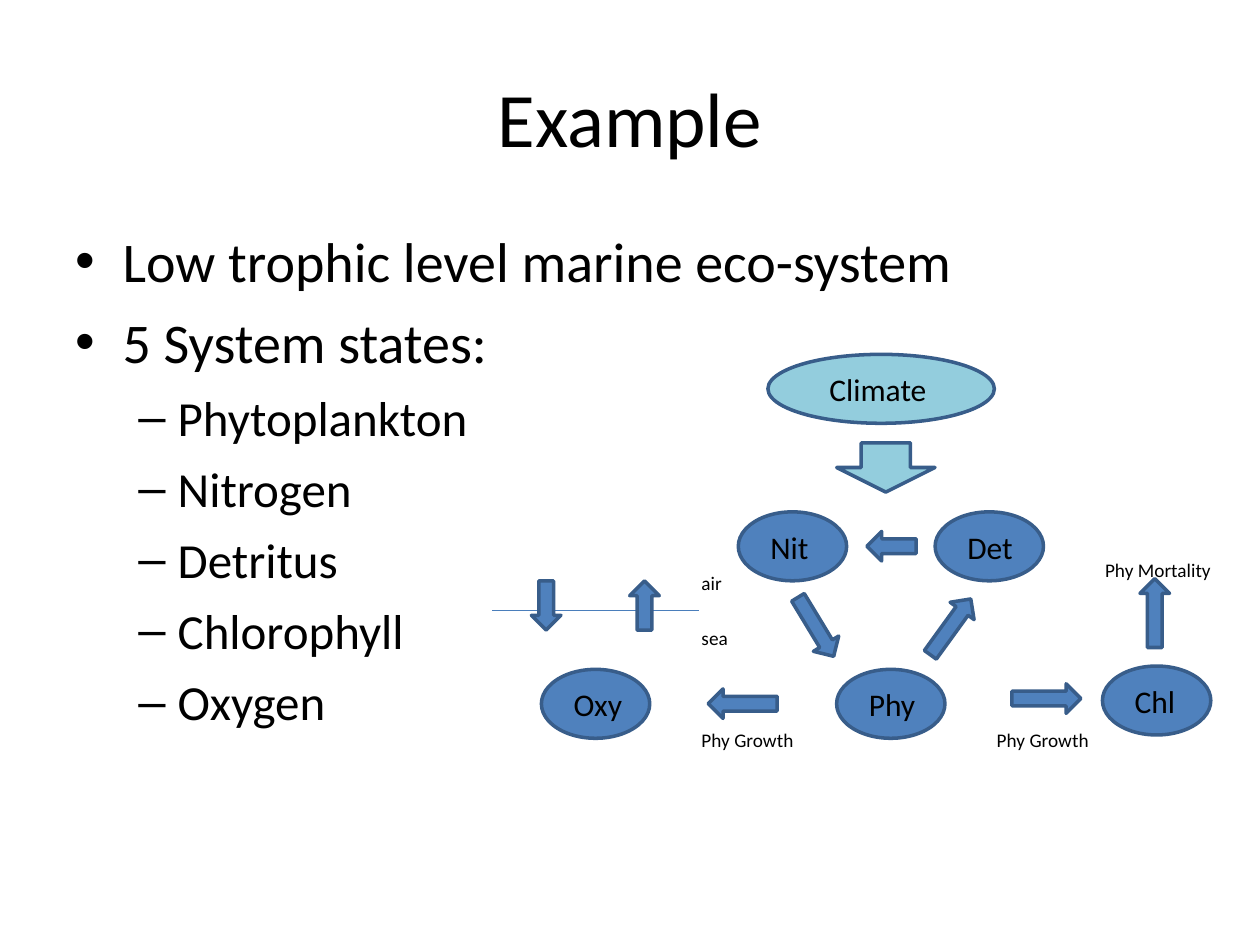
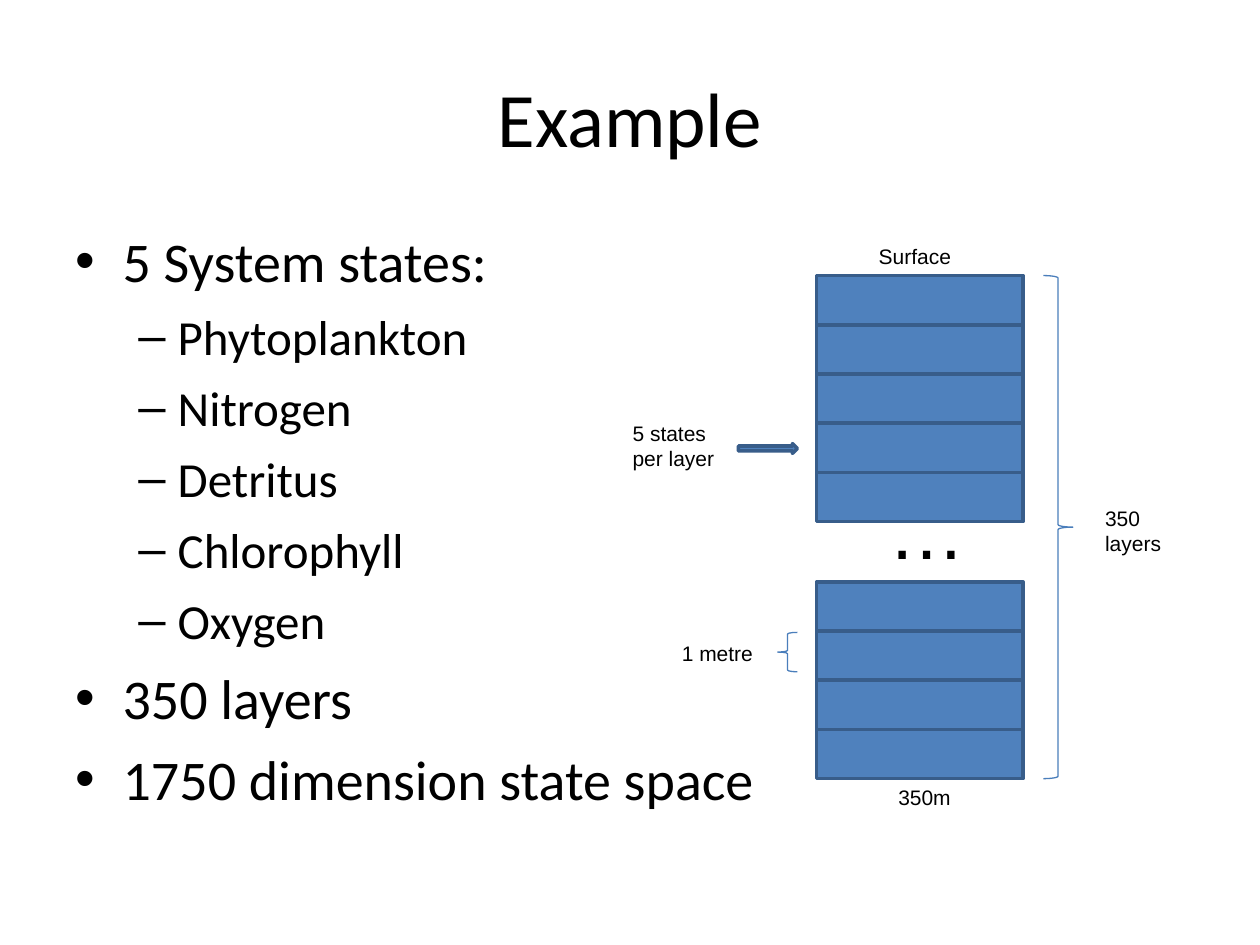
from lxml.etree import SubElement as Sub
from pptx import Presentation
from pptx.dml.color import RGBColor
from pptx.enum.shapes import MSO_CONNECTOR as Conn, MSO_SHAPE as Form
from pptx.enum.text import MSO_ANCHOR as Anchor, PP_ALIGN as Align
from pptx.oxml.ns import qn
from pptx.util import Pt

BLACK, BLUE, EDGE, THIN, SKY = "000000", "4F81BD", "385D8A", "4A7EBB", "93CDDD"
STATES = ["Phytoplankton", "Nitrogen", "Detritus", "Chlorophyll", "Oxygen"]
# Bullet levels: mark, left margin, hanging indent, space before, size
LEVELS = [("•", 27, 27, 8, 32), ("–", 58.5, 22.5, 7, 28)]


def color(code):
    return RGBColor.from_string(code)


class Deck:
    def __init__(self):
        self.prs = Presentation()
        self.prs.slide_width, self.prs.slide_height = Pt(720), Pt(540)
        self.shapes = None

    def page(self, title, items):
        """Start a slide with its title and bullet list of (level, text)."""
        self.shapes = self.prs.slides.add_slide(self.prs.slide_layouts[6]).shapes
        head = self.text(title, 36, 21.6, 648, 90, 44)
        head.vertical_anchor = Anchor.MIDDLE
        head.paragraphs[0].alignment = Align.CENTER
        self.bullets(items)

    def frame(self, x, y, w, h):
        frame = self.shapes.add_textbox(Pt(x), Pt(y), Pt(w), Pt(h)).text_frame
        frame.word_wrap = True
        return frame

    def style(self, para, size, face):
        para.font.size, para.font.name = Pt(size), face
        para.font.color.rgb = color(BLACK)

    def text(self, words, x, y, w, h, size, face="Calibri"):
        frame = self.frame(x, y, w, h)
        frame.text = words
        self.style(frame.paragraphs[0], size, face)
        return frame

    def bullets(self, items):
        frame = self.frame(36, 126, 648, 356.4)
        for i, (level, words) in enumerate(items):
            para = frame.add_paragraph() if i else frame.paragraphs[0]
            mark, left, hang, gap, size = LEVELS[level]
            para.text, para.level = words, level
            para.space_before = Pt(gap if i else 0)
            props = para._p.get_or_add_pPr()
            props.set("marL", str(Pt(left)))
            props.set("indent", str(-Pt(hang)))
            Sub(props, qn("a:buFont"), typeface="Arial")
            Sub(props, qn("a:buChar"), char=mark)
            self.style(para, size, "Calibri")

    def shape(self, form, x, y, w, h, fill=BLUE):
        shape = self.shapes.add_shape(form, Pt(x), Pt(y), Pt(w), Pt(h))
        shape.shadow.inherit = False
        shape.fill.solid()
        shape.fill.fore_color.rgb = color(fill)
        shape.line.color.rgb = color(EDGE)
        shape.line.width = Pt(2)
        return shape

    def node(self, name, x, y, w=61.9, fill=BLUE, pad=11.3):
        self.shape(Form.OVAL, x, y, w, 39.4, fill)
        self.text(name, x + pad, y + 5.6, w - 1.5 * pad, 28.8, 18)

    def arrow(self, x, y, span, turn=0, thick=16.9):
        """Block arrow centred on x, y."""
        shape = self.shape(Form.RIGHT_ARROW, x - span / 2, y - thick / 2, span, thick)
        shape.rotation = turn

    def brace(self, form, x, y, w, h):
        shape = self.shape(form, x, y, w, h)
        shape.fill.background()
        shape.line.color.rgb = color(THIN)
        shape.line.width = Pt(0.75)

    def line(self, x1, y1, x2, y2):
        line = self.shapes.add_connector(Conn.STRAIGHT, Pt(x1), Pt(y1), Pt(x2), Pt(y2))
        line.line.color.rgb = color(THIN)
        line.line.width = Pt(0.75)
        Sub(line._element.spPr, qn("a:effectLst"))


def cycle(deck):
    states = [(1, name) for name in STATES]
    deck.page("Example", [(0, "Low trophic level marine eco-system"),
                          (0, "5 System states:")] + states)
    # System states
    for name, x, y in [("Det", 534.4, 292.5), ("Phy", 478.1, 382.5),
                       ("Nit", 421.9, 292.5), ("Chl", 630, 380.6),
                       ("Oxy", 309.4, 382.5)]:
        deck.node(name, x, y)

    # Flows between states
    for x, y, turn in [(543.2, 358.2, 305.9), (598, 399.2, 0), (424.4, 402.1, 180),
                       (466.2, 358.2, 58.8), (659.9, 350.3, 270)]:
        deck.arrow(x, y, 39.4, turn)
    deck.arrow(509.4, 312.1, 28.1, 180)

    # Exchange between air and sea
    deck.line(281.3, 348.75, 399.4, 348.75)
    deck.arrow(368.3, 346, 28.1, 270)
    deck.arrow(312.1, 346, 28.1, 90)

    # Flow labels
    for words, x, y in [("Phy Growth", 393.8, 412.6), ("Phy Growth", 562.5, 412.6),
                        ("air", 393.8, 322.6), ("sea", 393.8, 354.2),
                        ("Phy Mortality", 624.4, 315.4)]:
        deck.text(words, x, y, 80, 20.9, 11)

    # Climate forcing
    deck.node("Climate", 438.8, 202.5, 129.4, SKY, 28.1)
    deck.shape(Form.DOWN_ARROW, 478.1, 253.1, 56.2, 28.1, SKY)


def column(deck):
    states = [(1, name) for name in STATES]
    deck.page("Example", [(0, "5 System states:")] + states +
              [(0, "350 layers"), (0, "1750 dimension state space")])
    # Water layers, top and bottom stacks
    step = 28.13
    for top, count in [(157.5, 5), (332.5, 4)]:
        for i in range(count):
            deck.shape(Form.RECTANGLE, 466.6, top + i * step, 118.1, step)

    # Braces and arrow
    deck.brace(Form.RIGHT_BRACE, 596.2, 157.5, 16.9, 287.5)
    deck.brace(Form.LEFT_BRACE, 444.4, 361.4, 11.3, 22.5)
    deck.arrow(438.8, 256.3, 33.8, thick=5.6)

    # Labels
    for words, x, y, h in [("350 layers", 624.4, 285.1, 36),
                           ("5 states per layer", 354.4, 236.9, 36),
                           ("1 metre", 382.5, 362.2, 21.6),
                           ("Surface", 495, 135.4, 21.6),
                           ("350m", 506.2, 445, 21.6)]:
        deck.text(words, x, y, 67.5, h, 12, "Arial")
    deck.text("…", 500.6, 272.2, 67.5, 60.5, 44, "Arial")


def main():
    deck = Deck()
    cycle(deck)
    column(deck)
    deck.prs.save("out.pptx")


if __name__ == "__main__":
    main()
